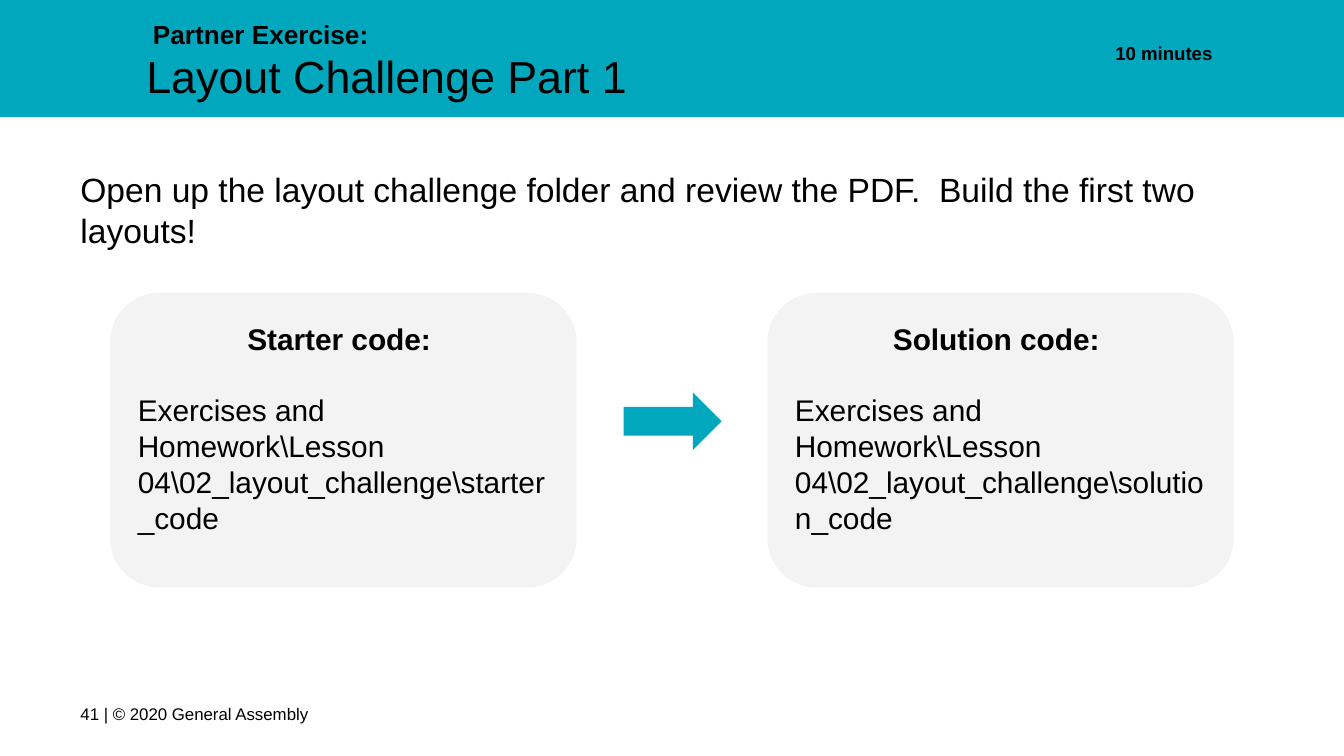
from pptx import Presentation
from pptx import util as u
from pptx.dml.color import RGBColor
from pptx.enum import shapes, text

TEAL = RGBColor(0x00, 0xA7, 0xBD)
PALE_GRAY = RGBColor(0xF3, 0xF3, 0xF3)
BLACK = RGBColor(0x00, 0x00, 0x00)
FONT = "Arial"
WIDTH = u.Inches(10)
HEIGHT = WIDTH * 9 // 16
COLUMN, ROW = WIDTH / 100, HEIGHT / 56.25
INSET = u.Inches(0.1)
FOLDER = "Exercises and Homework\\Lesson 04\\02_layout_challenge\\"


def grid_box(column, row, columns, rows):
    return tuple(round(n) for n in (column * COLUMN, row * ROW, columns * COLUMN, rows * ROW))


def inner_box(box, column, row, columns, rows):
    left, top, width, height = grid_box(column, row, columns, rows)
    return box[0] + left, box[1] + top, width, height


def set_frame(frame, anchor=text.MSO_ANCHOR.TOP):
    frame.word_wrap = True
    frame.vertical_anchor = anchor
    frame.margin_left = frame.margin_right = INSET
    frame.margin_top = frame.margin_bottom = INSET


def write(para, words, size, bold=False, align=text.PP_ALIGN.LEFT):
    para.text = words
    para.alignment = align
    for span in para.runs:
        span.font.name = FONT
        span.font.size = u.Pt(size)
        span.font.bold = bold
        span.font.color.rgb = BLACK


def add_text(page, box, words, size, anchor=text.MSO_ANCHOR.TOP, **style):
    frame = page.shapes.add_textbox(*box).text_frame
    set_frame(frame, anchor)
    write(frame.paragraphs[0], words, size, **style)


def add_block(page, kind, box, color):
    block = page.shapes.add_shape(kind, *box)
    block.shadow.inherit = False
    block.fill.solid()
    block.fill.fore_color.rgb = color
    block.line.fill.background()
    return block


def add_header(page, box, label, title, duration):
    add_block(page, shapes.MSO_SHAPE.RECTANGLE, box, TEAL)
    add_text(page, inner_box(box, 10.4, 0.5, 24.3, 5), label, 14, bold=True)
    add_text(page, inner_box(box, 9.9, 2.7, 54.8, 5), title, 24)
    add_text(page, inner_box(box, 76.6, 2.4, 14.6, 3.6), duration, 10,
             bold=True, align=text.PP_ALIGN.RIGHT)


def add_card(page, box, heading, location):
    card = add_block(page, shapes.MSO_SHAPE.ROUNDED_RECTANGLE, box, PALE_GRAY)
    card.adjustments[0] = 0.167
    frame = card.text_frame
    set_frame(frame)
    write(frame.paragraphs[0], heading, 16, bold=True, align=text.PP_ALIGN.CENTER)
    para = frame.add_paragraph()
    write(para, location, 16)
    para.space_before = u.Pt(19)


def add_code_flow(page, box):
    cards = (("Starter code: ", "starter_code"), ("Solution code: ", "solution_code"))
    for index, (heading, name) in enumerate(cards):
        add_card(page, inner_box(box, index * 48.9, 0, 34.7, 21.9), heading, FOLDER + name)
    add_block(page, shapes.MSO_SHAPE.RIGHT_ARROW, inner_box(box, 38.2, 7.4, 7.3, 4.3), TEAL)


def main():
    deck = Presentation()
    deck.slide_width, deck.slide_height = WIDTH, HEIGHT
    page = deck.slides.add_slide(deck.slide_layouts[6])
    add_header(page, grid_box(0, -0.1, 100, 8.8),
               "Partner Exercise:", "Layout Challenge Part 1", "10 minutes")
    add_text(page, grid_box(5, 11.6, 88, 11.8),
             "Open up the layout challenge folder and review the PDF.  Build the first two layouts!",
             18)
    add_code_flow(page, grid_box(8.2, 21.8, 83.6, 21.9))
    add_text(page, grid_box(5, 51, 25.9, 4.3), "41 | © 2020 General Assembly", 9,
             anchor=text.MSO_ANCHOR.MIDDLE)
    deck.save("out.pptx")


if __name__ == "__main__":
    main()
